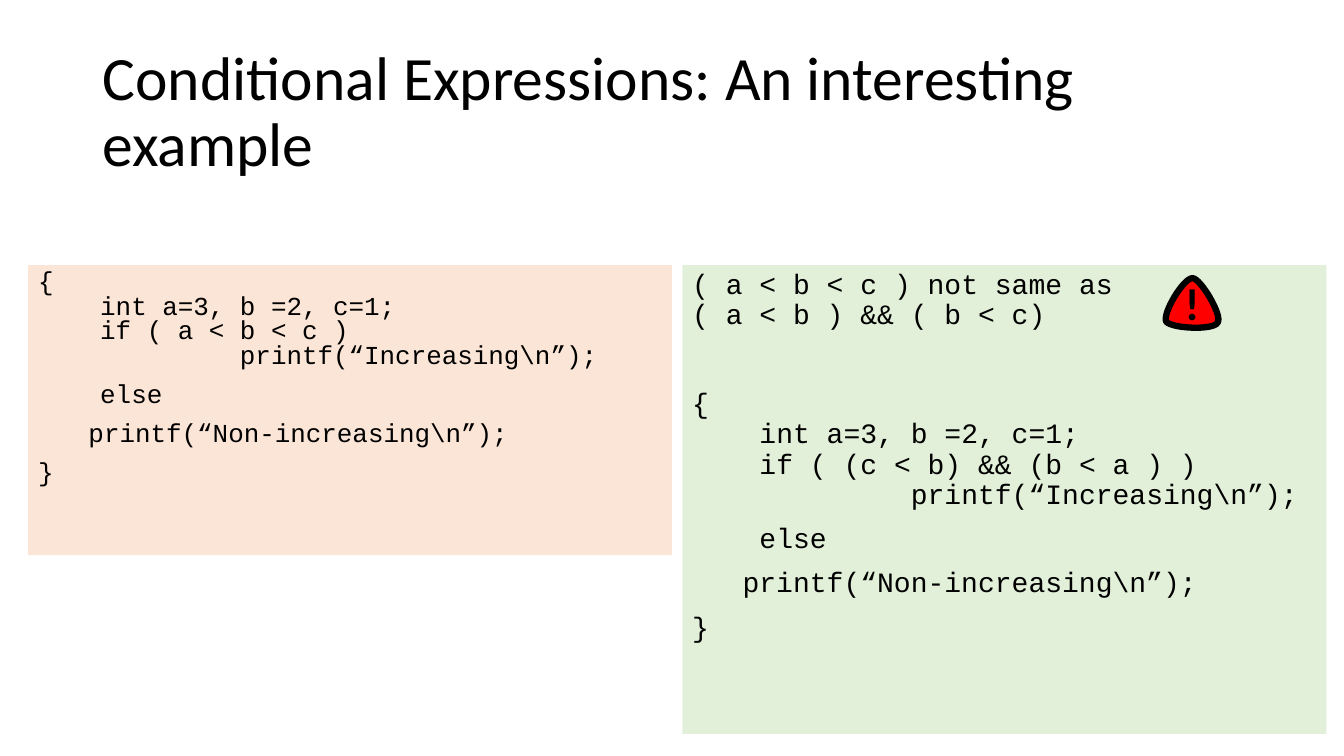
from copy import deepcopy

from pptx import Presentation
from pptx.dml.color import RGBColor
from pptx.enum.text import MSO_ANCHOR, MSO_AUTO_SIZE, PP_ALIGN
from pptx.oxml.ns import qn
from pptx.util import Pt

LEFT, CENTER = PP_ALIGN.LEFT, PP_ALIGN.CENTER
TOP, MIDDLE = MSO_ANCHOR.TOP, MSO_ANCHOR.MIDDLE
NO_FIT = MSO_AUTO_SIZE.NONE

BLACK = RGBColor(0x00, 0x00, 0x00)
RED = RGBColor(0xFF, 0x00, 0x00)
PEACH = RGBColor(0xFB, 0xE5, 0xD6)
GREEN = RGBColor(0xE2, 0xF0, 0xD9)

PANEL_TOP, PANEL_WIDTH = 189.4, 460
PARAGRAPH_GAP, SECTION_GAP = 10, 42

# Code paragraphs: a newline is a line break inside the paragraph
PROGRAM = """{{
    int a=3, b =2, c=1;
    if ( {} )
             printf(“Increasing\\n”);"""
PROGRAM_END = ["    else", "\tprintf(“Non-increasing\\n”);", "}"]
CHAINED = [PROGRAM.format("a < b < c"), *PROGRAM_END]
NOTE = "( a < b < c ) not same as\n( a < b ) && ( b < c)"
JOINED = [NOTE, PROGRAM.format("(c < b) && (b < a )"), *PROGRAM_END]

# Rounded triangle: start point, then cubic segments
SIGN_START = (833, 229.7)
SIGN_CURVES = [
    ((830.2, 223.9), (845.3, 198.7), (851.8, 198.7)),
    ((857.5, 198.7), (873.4, 225.4), (869.8, 230.4)),
    ((866.9, 236.2), (836.6, 234.7), (833, 229.7)),
]


def place(s, left, top, width, height):
    s.left, s.top, s.width, s.height = Pt(left), Pt(top), Pt(width), Pt(height)


def setup_frame(tf, anchor=TOP, wrap=True):
    tf.auto_size = NO_FIT
    tf.word_wrap = wrap
    tf.vertical_anchor = anchor


def write(p, text, font="Calibri", size=44, bold=False, align=LEFT,
          spacing=0.9, before=0):
    pPr = p._p.get_or_add_pPr()
    pPr.set("marL", "0")
    pPr.set("indent", "0")
    pPr.append(pPr.makeelement(qn("a:buNone"), {}))
    p.alignment = align
    p.line_spacing = spacing
    p.space_before = Pt(before)
    for i, line in enumerate(text.split("\n")):
        if i:
            p.add_line_break()
        r = p.add_run()
        r.text = line
        r.font.name, r.font.size, r.font.bold = font, Pt(size), bold
        r.font.color.rgb = BLACK
    # Line breaks keep the size of the text around them
    for br in p._p.findall(qn("a:br")):
        br.append(deepcopy(r.font._element))


def fill_panel(s, left, height, color, paragraphs, size, spacing):
    place(s, left, PANEL_TOP, PANEL_WIDTH, height)
    s.fill.solid()
    s.fill.fore_color.rgb = color
    tf = s.text_frame
    setup_frame(tf)
    previous = None
    for text in paragraphs:
        p = tf.add_paragraph() if previous else tf.paragraphs[0]
        before = SECTION_GAP if previous == NOTE else PARAGRAPH_GAP
        write(p, text, font="Courier New", size=size, spacing=spacing,
              before=before if previous else 0)
        previous = text


def curve_points(start, curves, steps=16):
    points = []
    for c1, c2, end in curves:
        for i in range(1, steps + 1):
            t = i / steps
            u = 1 - t
            points.append(tuple(
                Pt(u**3 * a + 3 * u * u * t * b + 3 * u * t * t * c + t**3 * d)
                for a, b, c, d in zip(start, c1, c2, end)))
        start = end
    return points


def add_warning_sign(slide):
    x, y = SIGN_START
    builder = slide.shapes.build_freeform(Pt(x), Pt(y))
    builder.add_line_segments(curve_points(SIGN_START, SIGN_CURVES), close=True)
    s = builder.convert_to_shape()
    s.shadow.inherit = False
    s.fill.solid()
    s.fill.fore_color.rgb = RED
    s.line.color.rgb = BLACK
    s.line.width = Pt(4.5)
    setup_frame(s.text_frame, MIDDLE, wrap=False)
    write(s.text_frame.paragraphs[0], "!", size=32, bold=True, align=CENTER,
          spacing=1.0)


def main():
    prs = Presentation()
    prs.slide_width, prs.slide_height = Pt(960), Pt(540)
    slide = prs.slides.add_slide(prs.slide_layouts.get_by_name("Title and Content"))

    # Title
    title = slide.shapes.title
    place(title, 66, 28.8, 828, 104.4)
    setup_frame(title.text_frame, MIDDLE)
    write(title.text_frame.paragraphs[0],
          "Conditional Expressions: An interesting example")

    # Code panels
    fill_panel(slide.placeholders[1], 20, 207.2, PEACH, CHAINED, 18.5, 0.8)
    joined = slide.shapes.add_textbox(0, 0, 0, 0)
    fill_panel(joined, 487.4, 334.8, GREEN, JOINED, 20, 0.9)

    # Warning
    add_warning_sign(slide)

    prs.save("out.pptx")


if __name__ == "__main__":
    main()
